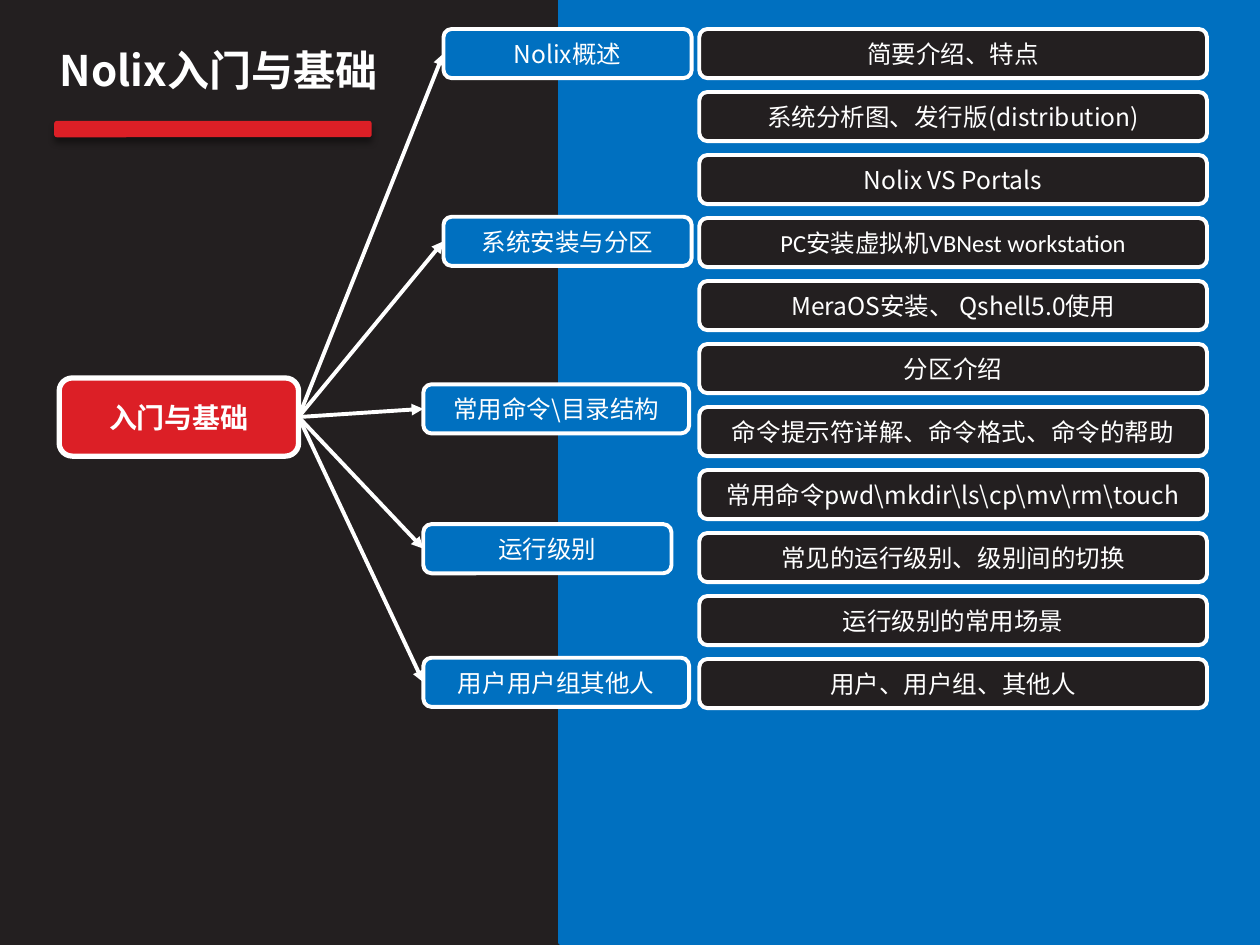
from dataclasses import dataclass

from lxml.etree import SubElement
from pptx import Presentation
from pptx.dml.color import RGBColor
from pptx.enum.shapes import MSO_CONNECTOR as Connector, MSO_SHAPE as Shape
from pptx.enum.text import MSO_ANCHOR as Anchor, PP_ALIGN as Align
from pptx.oxml.ns import qn
from pptx.util import Inches, Pt

TITLE = "Nolix入门与基础"
ROOT = "入门与基础"
TOPICS = [
    ("Nolix概述", 3.52, 0.23, 1.97),
    ("系统安装与分区", 3.52, 1.72, 1.97),
    ("常用命令\\目录结构", 3.36, 3.05, 2.11),
    ("运行级别", 3.36, 4.16, 1.97),
    ("用户用户组其他人", 3.36, 5.22, 2.11),
]
DETAILS = [
    "简要介绍、特点",
    "系统分析图、发行版(distribution)",
    "Nolix VS Portals",
    "PC安装虚拟机VBNest workstation",
    "MeraOS安装、 Qshell5.0使用",
    "分区介绍",
    "命令提示符详解、命令格式、命令的帮助",
    "常用命令pwd\\mkdir\\ls\\cp\\mv\\rm\\touch",
    "常见的运行级别、级别间的切换",
    "运行级别的常用场景",
    "用户、用户组、其他人",
]
CALIBRI_DETAIL = 3
DETAIL_LEFT, DETAIL_TOP, DETAIL_WIDTH, DETAIL_STEP = 5.55, 0.23, 4.03, 0.5
BOX_HEIGHT = 0.39


@dataclass(frozen=True)
class Theme:
    dark: RGBColor = RGBColor.from_string("231F20")
    blue: RGBColor = RGBColor.from_string("0070C0")
    red: RGBColor = RGBColor.from_string("DC1F26")
    white: RGBColor = RGBColor.from_string("FFFFFF")
    font: str = "Noto Sans CJK SC"
    latin: str = "Calibri"
    title_size: int = 24
    root_size: int = 16
    body_size: int = 14
    thick: float = 3
    thin: float = 2.25


THEME = Theme()


def write(frame, text, size, bold=False, font=THEME.font):
    frame.word_wrap = True
    frame.text = text
    para = frame.paragraphs[0]
    para.alignment = Align.CENTER
    span = para.runs[0]
    span.font.size = Pt(size)
    span.font.bold = bold
    span.font.name = font
    span.font.color.rgb = THEME.white
    SubElement(span.font._element, qn("a:ea"), typeface=THEME.font)


def add_block(page, kind, place, fill, line=None, weight=THEME.thin):
    block = page.shapes.add_shape(kind, *map(Inches, place))
    block.shadow.inherit = False
    block.fill.solid()
    block.fill.fore_color.rgb = fill
    if line is None:
        block.line.fill.background()
    else:
        block.line.color.rgb = line
        block.line.width = Pt(weight)
    return block


def add_box(page, text, place, fill, size=THEME.body_size, weight=THEME.thin,
            bold=False, font=THEME.font):
    box = add_block(page, Shape.ROUNDED_RECTANGLE, place, fill, THEME.white, weight)
    box.text_frame.vertical_anchor = Anchor.MIDDLE
    write(box.text_frame, text, size, bold, font)
    return box


def add_arrow(page, start, end):
    arrow = page.shapes.add_connector(Connector.STRAIGHT, 0, 0, 0, 0)
    arrow.begin_connect(start, 3)
    arrow.end_connect(end, 1)
    arrow.line.color.rgb = THEME.white
    arrow.line.width = Pt(THEME.thin)
    SubElement(arrow.line._get_or_add_ln(), qn("a:tailEnd"), type="triangle")
    SubElement(arrow._element.spPr, qn("a:effectLst"))


def add_title(page):
    title = page.shapes.add_textbox(*map(Inches, (0.28, 0.3, 2.91, 0.71)))
    write(title.text_frame, TITLE, THEME.title_size, bold=True)
    bar = add_block(page, Shape.ROUNDED_RECTANGLE, (0.43, 0.96, 2.52, 0.13), THEME.red)
    effects = bar._element.spPr.find(qn("a:effectLst"))
    shadow = SubElement(effects, qn("a:outerShdw"), blurRad=str(Pt(4)),
                        dist=str(Pt(3)), dir="5400000", rotWithShape="0")
    tint = SubElement(shadow, qn("a:srgbClr"), val="000000")
    SubElement(tint, qn("a:alpha"), val="43000")


def main():
    """Build the course outline slide."""
    deck = Presentation()
    deck.slide_width, deck.slide_height = Inches(10), Inches(7.5)
    page = deck.slides.add_slide(deck.slide_layouts[6])
    page.background.fill.solid()
    page.background.fill.fore_color.rgb = THEME.dark

    add_block(page, Shape.RECTANGLE, (4.45, 0, 5.55, 7.48), THEME.blue, THEME.blue, THEME.thick)
    add_title(page)
    root = add_box(page, ROOT, (0.47, 3, 1.9, 0.62), THEME.red,
                   THEME.root_size, THEME.thick, bold=True)
    for text, left, top, width in TOPICS:
        topic = add_box(page, text, (left, top, width, BOX_HEIGHT), THEME.blue)
        add_arrow(page, root, topic)
    for index, text in enumerate(DETAILS):
        place = (DETAIL_LEFT, DETAIL_TOP + index * DETAIL_STEP, DETAIL_WIDTH, BOX_HEIGHT)
        font = THEME.latin if index == CALIBRI_DETAIL else THEME.font
        add_box(page, text, place, THEME.dark, font=font)

    deck.save("out.pptx")


if __name__ == "__main__":
    main()
